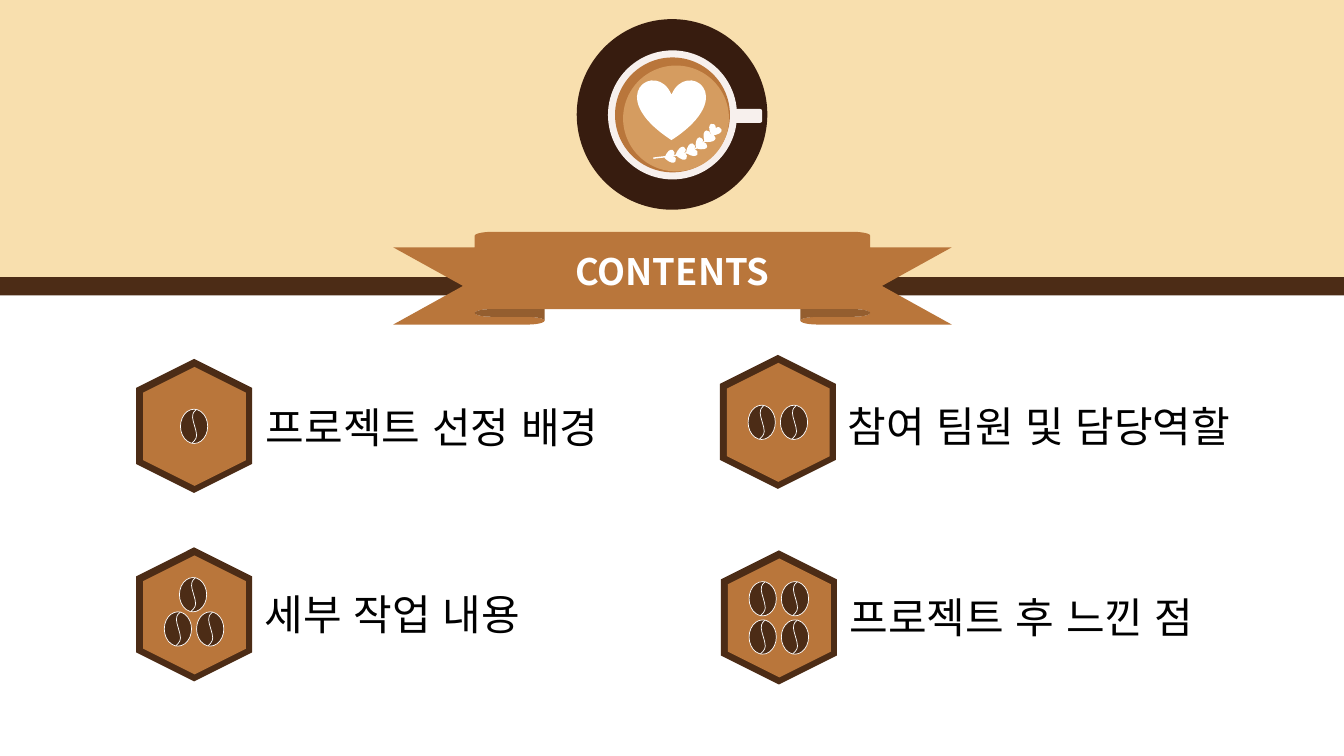
import pptx
import pptx.util
import pptx.dml.color
import pptx.enum.lang
import pptx.enum.shapes
import pptx.enum.text
import pptx.oxml.ns
import lxml.etree

Inches = pptx.util.Inches
Pt = pptx.util.Pt
SHAPE = pptx.enum.shapes.MSO_SHAPE
ALIGN = pptx.enum.text.PP_ALIGN
ANCHOR = pptx.enum.text.MSO_ANCHOR
FIT = pptx.enum.text.MSO_AUTO_SIZE
KOREAN = pptx.enum.lang.MSO_LANGUAGE_ID.KOREAN
tag = pptx.oxml.ns.qn

DARK, BROWN, CREAM = "4C2C16", "B9763B", "F8DFAE"
WHITE, CUP = "FFFFFF", "F7F0ED"


def color(code):
    return pptx.dml.color.RGBColor.from_string(code)


def paint(shape, fill=None, line=None, width=0.5):
    shape.shadow.inherit = False
    if fill:
        shape.fill.solid()
        shape.fill.fore_color.rgb = color(fill)
    else:
        shape.fill.background()
    if line:
        shape.line.color.rgb = color(line)
        shape.line.width = Pt(width)
    else:
        shape.line.fill.background()
    return shape


def add(slide, kind, x, y, w, h, fill, line=None, turn=0):
    shape = slide.shapes.add_shape(kind, Inches(x), Inches(y), Inches(w), Inches(h))
    shape.rotation = turn
    return paint(shape, fill, line)


def write(frame, text, size=30, font="Arial", ink="000000", bold=False,
          align=ALIGN.LEFT, anchor=ANCHOR.TOP):
    frame.word_wrap = True
    frame.vertical_anchor = anchor
    par = frame.paragraphs[0]
    par.alignment = align
    run = par.add_run()
    run.text = text
    run.font.size = Pt(size)
    run.font.name = font
    run.font.bold = bold
    run.font.language_id = KOREAN
    run.font.color.rgb = color(ink)
    # Use the same font for Korean letters and the spaces between them
    latin = run.font._element.find(tag("a:latin"))
    east = lxml.etree.Element(tag("a:ea"), typeface=font)
    latin.addnext(east)


def curve(slide, x, y, knots, fill, line, width):
    """Draw joined cubic curves; knots are offsets from x, y."""
    dots = [(Inches(x + dx), Inches(y + dy)) for dx, dy in knots]
    form = slide.shapes.build_freeform(*dots[0])
    form.add_line_segments(dots[1:], close=False)
    shape = paint(form.convert_to_shape(), fill, line, width)
    # Turn each three straight segments into one cubic curve
    lines = list(shape._element.iter(tag("a:lnTo")))
    for start in range(0, len(lines), 3):
        bend = lxml.etree.Element(tag("a:cubicBezTo"))
        lines[start].addprevious(bend)
        for part in lines[start:start + 3]:
            bend.append(part[0])
            part.getparent().remove(part)


def bean(slide, x, y):
    add(slide, SHAPE.OVAL, x, y, 0.27, 0.34, DARK, WHITE)
    seam = [(0.16, 0), (0.14, 0.02), (0.12, 0.03), (0.12, 0.08),
            (0.12, 0.12), (0.16, 0.21), (0.16, 0.26),
            (0.16, 0.3), (0.12, 0.33), (0.11, 0.34)]
    curve(slide, x, y, seam, DARK, WHITE, 0.5)


def header(slide, x, y, w, h):
    # Page fields and dividing bar
    for top, high, fill in [(0, h, CREAM), (0, 2.81, CREAM),
                            (2.81, h - 2.81, WHITE), (2.75, 0.18, DARK)]:
        add(slide, SHAPE.RECTANGLE, x, y + top, w, high, fill)
    # Title ribbon
    band = add(slide, SHAPE.UP_RIBBON, x + 3.9, y + 2.3, 5.54, 0.92, BROWN)
    band.adjustments[0], band.adjustments[1] = 0.167, 0.708
    write(band.text_frame, "CONTENTS", size=26, font="Noto Sans CJK KR", ink=WHITE,
          bold=True, align=ALIGN.CENTER, anchor=ANCHOR.MIDDLE)


def coffee(slide, x, y):
    # Saucer, cup and drink
    for dx, dy, size, fill in [(0, 0, 1.89, "371C0F"), (0.31, 0.31, 1.28, CUP),
                               (0.38, 0.38, 1.14, BROWN), (0.46, 0.46, 1.05, "D59C60")]:
        add(slide, SHAPE.OVAL, x + dx, y + dy, size, size, fill)
    add(slide, SHAPE.HEART, x + 0.6, y + 0.6, 0.68, 0.6, WHITE)
    # Sprig of small hearts
    for dx, dy, turn in [(1.24, 1.12, 39.2), (1.16, 1.19, 50.6), (1.07, 1.25, 65.8),
                         (0.97, 1.28, 79.3), (0.86, 1.31, 77.3), (1.3, 1.05, 29.6)]:
        add(slide, SHAPE.HEART, x + dx, y + dy, 0.13, 0.11, WHITE, turn=turn)
    stem = [(0.62, 0), (0.55, 0.09), (0.48, 0.18), (0.37, 0.23),
            (0.27, 0.28), (0.04, 0.29), (0, 0.3)]
    curve(slide, x + 0.76, y + 1.08, stem, None, WHITE, 1)
    # Handle
    add(slide, SHAPE.ROUNDED_RECTANGLE, x + 1.54, y + 0.89, 0.3, 0.14, CUP)


def item(slide, x, y, text, w, dx, dy, beans):
    # Badge
    add(slide, SHAPE.HEXAGON, x, y, 1.33, 1.15, DARK, turn=270)
    add(slide, SHAPE.HEXAGON, x + 0.08, y + 0.07, 1.18, 1.02, BROWN, turn=270)
    for left, top in beans:
        bean(slide, x + left, y + top)
    # Label
    box = slide.shapes.add_textbox(Inches(x + dx), Inches(y + dy), Inches(w), Inches(0.59))
    write(box.text_frame, text)
    box.text_frame.auto_size = FIT.SHAPE_TO_FIT_TEXT


def main():
    deck = pptx.Presentation()
    deck.slide_width, deck.slide_height = Inches(13.33), Inches(7.5)
    slide = deck.slides.add_slide(deck.slide_layouts[6])
    header(slide, 0, 0, 13.33, 7.5)
    coffee(slide, 5.72, 0.19)

    near, far = 0.37, 0.69
    item(slide, 7.05, 3.61, "참여 팀원 및 담당역할", 4.56, 1.26, 0.31,
         [(near, 0.41), (far, 0.41)])
    item(slide, 1.26, 3.65, "프로젝트 선정 배경", 3.97, 1.28, 0.28, [(0.53, 0.41)])
    item(slide, 1.26, 5.52, "세부 작업 내용", 3.97, 1.27, 0.27,
         [(far, 0.55), (0.52, 0.21), (near, 0.55)])
    item(slide, 7.06, 5.55, "프로젝트 후 느낀 점", 3.97, 1.27, 0.27,
         [(left, top) for top in (0.22, 0.6) for left in (near, far)])
    deck.save("out.pptx")


if __name__ == "__main__":
    main()
